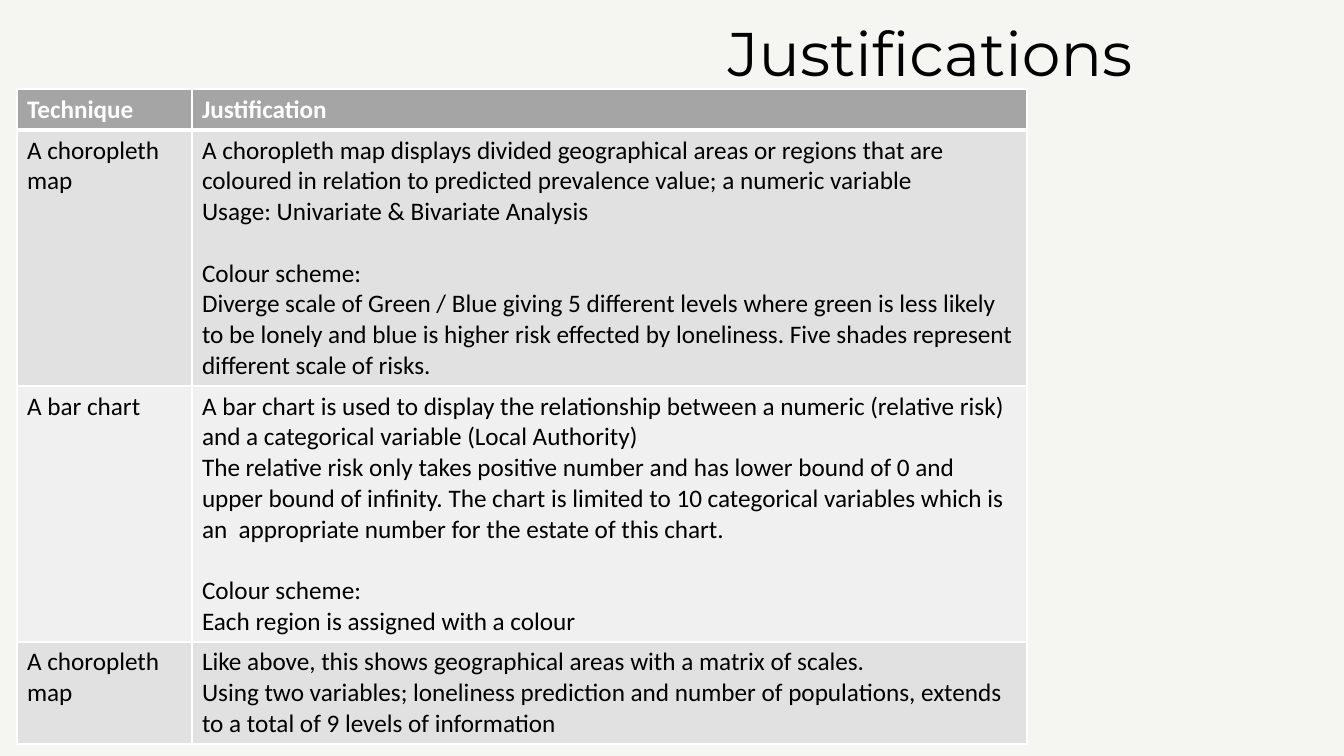
import pptx
import pptx.util
import pptx.dml.color
import pptx.enum.text
import pptx.oxml
import pptx.oxml.ns

SIZE = (1344, 756)
PAPER = "F5F5F2"
TITLE = "Justifications"
TITLE_BOX = (718, 7, 624, 100)
CORNER = (17, 89)
COLS = (175, 835)
ROWS = (41, 256, 256, 102)
FILLS = ("A5A5A5", "E1E1E1", "F0F0F0", "E1E1E1")
SCHEME = "Colour scheme:"
GAP = 22  # points above the scheme heading, one line of text

CELLS = [
    (["Technique"], ["Justification"]),
    (["A choropleth map"], [
        "A choropleth map displays divided geographical areas or regions that are "
        "coloured in relation to predicted prevalence value; a numeric variable",
        "Usage: Univariate & Bivariate Analysis",
        SCHEME,
        "Diverge scale of Green / Blue giving 5 different levels where green is less likely "
        "to be lonely and blue is higher risk effected by loneliness. Five shades represent "
        "different scale of risks.",
    ]),
    (["A bar chart"], [
        "A bar chart is used to display the relationship between a numeric (relative risk) "
        "and a categorical variable (Local Authority)",
        "The relative risk only takes positive number and has lower bound of 0 and "
        "upper bound of infinity. The chart is limited to 10 categorical variables which is "
        "an  appropriate number for the estate of this chart.",
        SCHEME,
        "Each region is assigned with a colour",
    ]),
    (["A choropleth map"], [
        "Like above, this shows geographical areas with a matrix of scales.",
        "Using two variables; loneliness prediction and number of populations, extends "
        "to a total of 9 levels of information",
    ]),
]

TITLE_FONT = {"name": "Montserrat", "size": pptx.util.Pt(44)}
HEAD_FONT = {"name": "Calibri", "size": pptx.util.Pt(18), "bold": True}
BODY_FONT = {**HEAD_FONT, "bold": False}


def px(n):
    return round(n * 914400 / 100.8)


def rgb(code):
    return pptx.dml.color.RGBColor.from_string(code)


def style(font, look, color):
    for key, value in look.items():
        setattr(font, key, value)
    font.color.rgb = rgb(color)


def paint(fill, color):
    fill.solid()
    fill.fore_color.rgb = rgb(color)


def edge(cell, base):
    """Draw white borders, with the bottom and top widths taken from base."""
    props = cell._tc.get_or_add_tcPr()
    for side, width in zip("LRTB", (1, 1, *base)):
        props.append(pptx.oxml.parse_xml(
            f'<a:ln{side} {pptx.oxml.ns.nsdecls("a")} w="{pptx.util.Pt(width)}">'
            f'<a:solidFill><a:srgbClr val="FFFFFF"/></a:solidFill></a:ln{side}>'))


def write(frame, lines, look, color):
    for i, line in enumerate(lines):
        para = frame.paragraphs[0] if i == 0 else frame.add_paragraph()
        run = para.add_run()
        run.text = line
        style(run.font, look, color)
        if line == SCHEME:
            para.space_before = pptx.util.Pt(GAP)


def add_title(slide):
    frame = slide.shapes.add_textbox(*map(px, TITLE_BOX)).text_frame
    frame.word_wrap = True
    frame.vertical_anchor = pptx.enum.text.MSO_ANCHOR.MIDDLE
    write(frame, [TITLE], TITLE_FONT, "000000")
    frame.paragraphs[0].line_spacing = 0.9


def add_grid(slide):
    box = map(px, (*CORNER, sum(COLS), sum(ROWS)))
    table = slide.shapes.add_table(len(ROWS), len(COLS), *box).table
    for col, width in zip(table.columns, COLS):
        col.width = px(width)
    for r, (row, height) in enumerate(zip(table.rows, ROWS)):
        row.height = px(height)
        look, color = (BODY_FONT, "000000") if r else (HEAD_FONT, "FFFFFF")
        base = {0: (1, 3), 1: (3, 1)}.get(r, (1, 1))
        for cell, lines in zip(row.cells, CELLS[r]):
            edge(cell, base)
            paint(cell.fill, FILLS[r])
            write(cell.text_frame, lines, look, color)


def main():
    deck = pptx.Presentation()
    deck.slide_width, deck.slide_height = map(px, SIZE)
    slide = deck.slides.add_slide(deck.slide_layouts[6])
    paint(slide.background.fill, PAPER)
    add_title(slide)
    add_grid(slide)
    deck.save("out.pptx")


if __name__ == "__main__":
    main()
